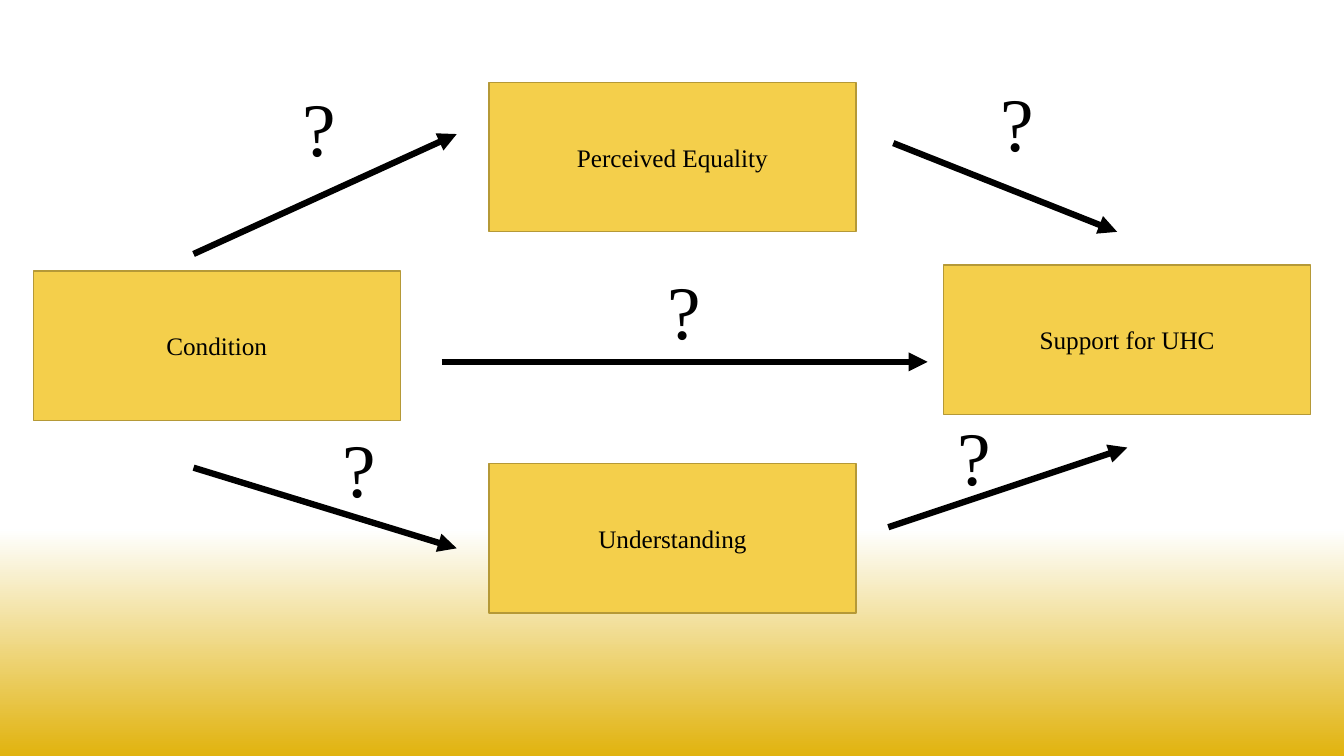
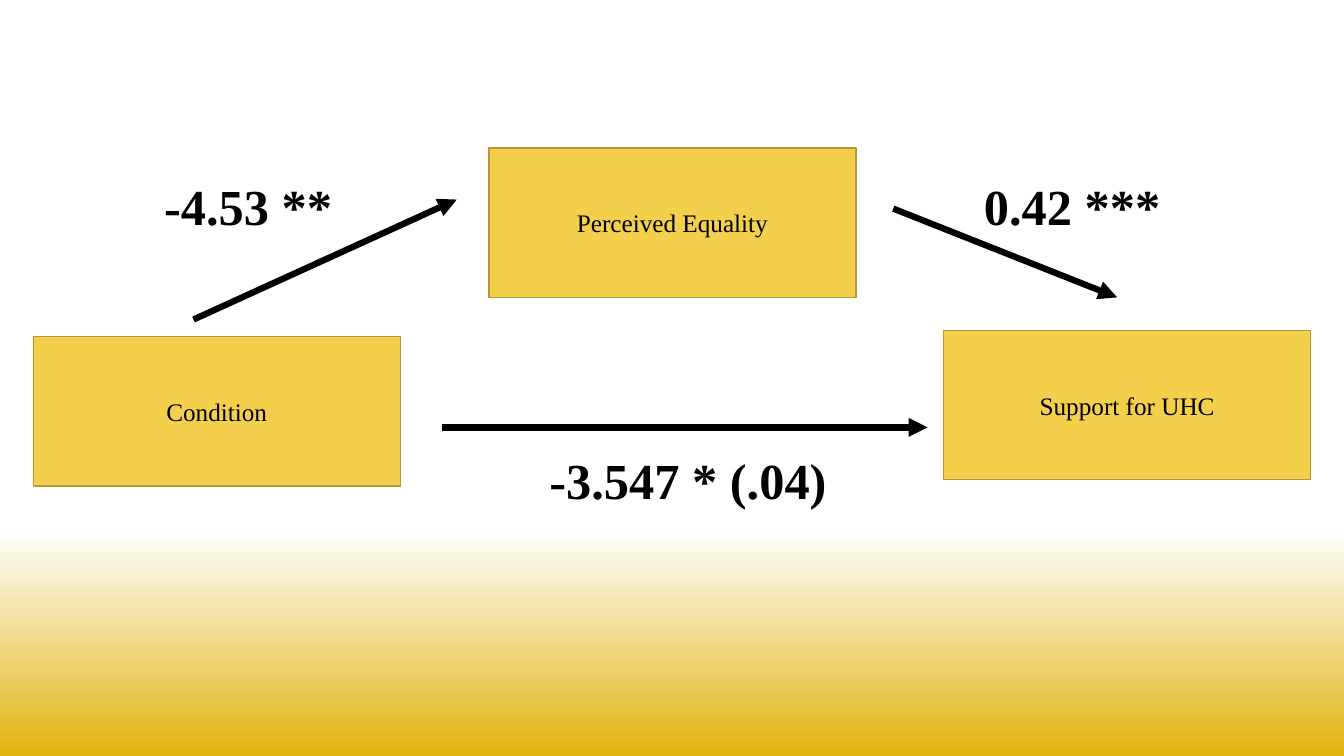
from copy import deepcopy
from dataclasses import dataclass

from lxml.etree import SubElement
from pptx import Presentation
from pptx.dml.color import RGBColor
from pptx.enum.shapes import MSO_CONNECTOR, MSO_SHAPE
from pptx.enum.text import MSO_ANCHOR, PP_ALIGN
from pptx.oxml.ns import qn
from pptx.util import Inches, Pt


@dataclass(frozen=True)
class Theme:
    font: str = "Times New Roman"
    ink: RGBColor = RGBColor.from_string("000000")
    gold: RGBColor = RGBColor.from_string("F4CF4B")
    edge: RGBColor = RGBColor.from_string("B59937")
    fade: tuple = ((0.31, "FFFFFF"), (0.70, "FEFFFF"), (1.0, "E1B30E"))
    node: int = 18
    mark: int = 54
    value: int = 36
    border: float = 1
    stroke: float = 4.5


@dataclass(frozen=True)
class Label:
    """Size and text style of the labels beside the arrows."""
    width: float
    height: float
    size: int
    bold: bool
    align: PP_ALIGN


THEME = Theme()
MARK = Label(1.01, 1.01, THEME.mark, False, PP_ALIGN.CENTER)
VALUE = Label(3.15, 0.71, THEME.value, True, PP_ALIGN.LEFT)

# All places below are measured from the top left corner of the model.
LEFT = 0.33
NODE_W, NODE_H = 3.64, 1.48
NODES = {
    "Condition": (0, 1.87),
    "Support for UHC": (9.03, 1.81),
    "Perceived Equality": (4.52, 0),
    "Understanding": (4.52, 3.78),
}
ARROWS = {
    "direct": ((4.05, 2.77), (8.87, 2.77)),
    "to equality": ((1.59, 1.7), (4.2, 0.51)),
    "from equality": ((8.53, 0.6), (10.75, 1.48)),
    "to understanding": ((1.59, 3.82), (4.2, 4.62)),
    "from understanding": ((8.48, 4.41), (10.85, 3.62)),
}


def paint_back(master):
    fill = master.background.fill
    fill.gradient()
    fill.gradient_angle = 270
    stops = next(master.element.iter(qn("a:gsLst")))
    stops.append(deepcopy(stops[-1]))
    for stop, (place, color) in zip(fill.gradient_stops, THEME.fade):
        stop.position = place
        stop.color.rgb = RGBColor.from_string(color)


def set_text(frame, text, size, align, bold=False):
    frame.word_wrap = True
    frame.text = text
    line = frame.paragraphs[0]
    line.alignment = align
    font = line.runs[0].font
    font.name, font.size, font.bold = THEME.font, Pt(size), bold
    font.color.rgb = THEME.ink


def add_node(slide, x, y, text):
    node = slide.shapes.add_shape(
        MSO_SHAPE.RECTANGLE, Inches(x), Inches(y), Inches(NODE_W), Inches(NODE_H))
    node.shadow.inherit = False
    node.fill.solid()
    node.fill.fore_color.rgb = THEME.gold
    node.line.color.rgb = THEME.edge
    node.line.width = Pt(THEME.border)
    node.text_frame.vertical_anchor = MSO_ANCHOR.MIDDLE
    set_text(node.text_frame, text, THEME.node, PP_ALIGN.CENTER)


def add_arrow(slide, *ends):
    arrow = slide.shapes.add_connector(
        MSO_CONNECTOR.STRAIGHT, *(Inches(n) for n in ends))
    arrow.line.color.rgb = THEME.ink
    arrow.line.width = Pt(THEME.stroke)
    SubElement(arrow.line._get_or_add_ln(), qn("a:tailEnd"), type="triangle")
    SubElement(arrow.element.spPr, qn("a:effectLst"))


def add_label(slide, x, y, text, style):
    box = slide.shapes.add_textbox(
        Inches(x), Inches(y), Inches(style.width), Inches(style.height))
    set_text(box.text_frame, text, style.size, style.align, style.bold)


def add_model(slide, left, top, nodes, labels, style):
    """Draw the named nodes, and one arrow with its label per path in labels."""
    for name in nodes:
        x, y = NODES[name]
        add_node(slide, left + x, top + y, name)
    for path in labels:
        (x1, y1), (x2, y2) = ARROWS[path]
        add_arrow(slide, left + x1, top + y1, left + x2, top + y2)
    for x, y, text in labels.values():
        add_label(slide, left + x, top + y, text, style)


def main():
    deck = Presentation()
    deck.slide_width, deck.slide_height = Inches(13.33), Inches(7.5)
    paint_back(deck.slide_master)
    blank = deck.slide_layouts[6]

    add_model(deck.slides.add_slide(blank), LEFT, 0.82, NODES, {
        "direct": (5.95, 1.75, "?"),
        "to equality": (2.33, -0.07, "?"),
        "from equality": (9.25, -0.12, "?"),
        "to understanding": (2.73, 3.32, "?"),
        "from understanding": (8.83, 3.2, "?"),
    }, MARK)

    known = [name for name in NODES if name != "Understanding"]
    add_model(deck.slides.add_slide(blank), LEFT, 1.47, known, {
        "direct": (5.02, 2.94, "-3.547 * (.04)"),
        "to equality": (1.2, 0.22, "-4.53 **"),
        "from equality": (9.33, 0.22, "0.42 ***"),
    }, VALUE)
    deck.save("out.pptx")


if __name__ == "__main__":
    main()
